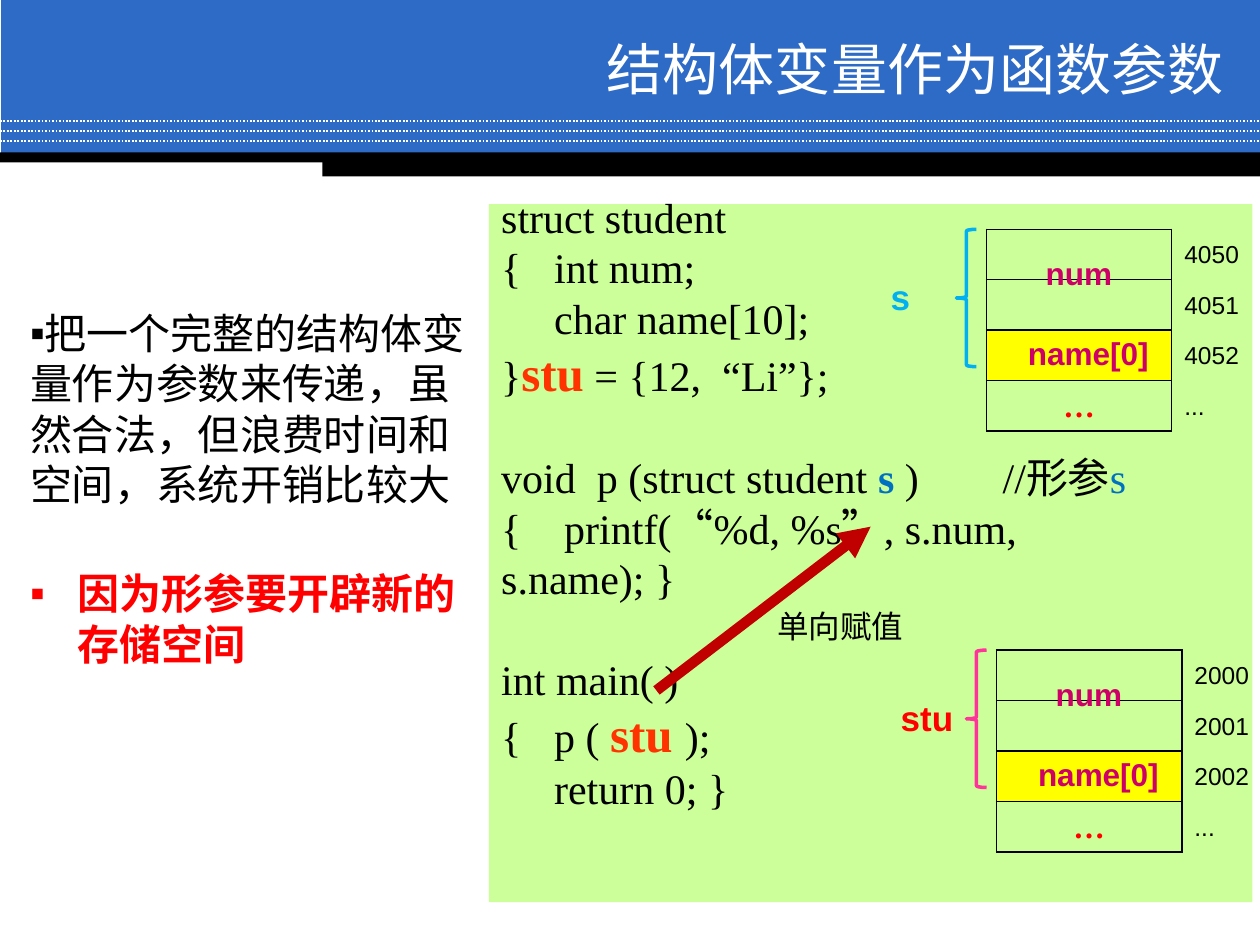
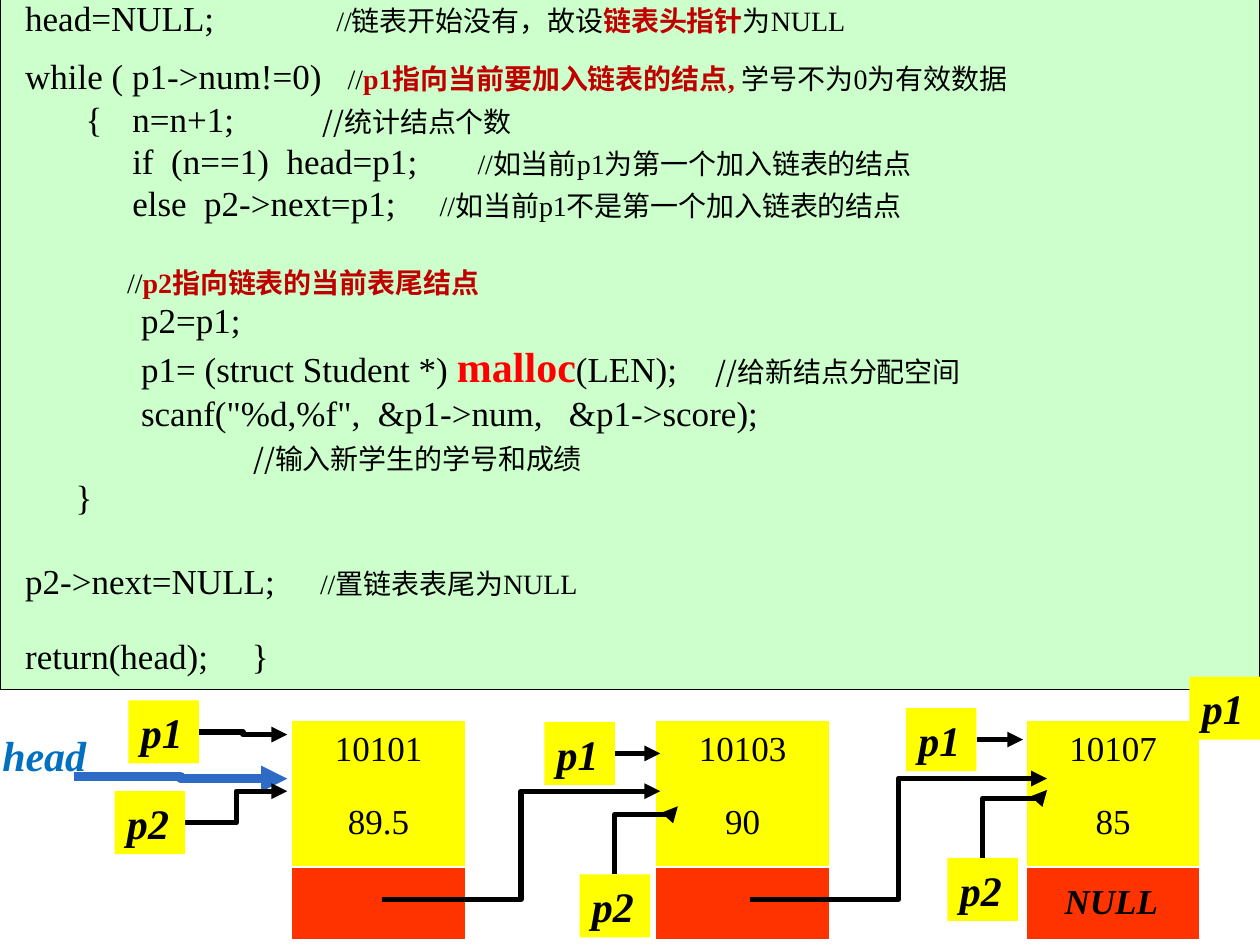
from dataclasses import dataclass, replace
from typing import Optional

import lxml.etree
import pptx
import pptx.dml.color
import pptx.enum.dml
import pptx.enum.shapes
import pptx.enum.text
import pptx.oxml.ns
import pptx.slide
import pptx.util

Inches, Pt = pptx.util.Inches, pptx.util.Pt
RGBColor = pptx.dml.color.RGBColor
Slide = pptx.slide.Slide
SHAPE = pptx.enum.shapes.MSO_SHAPE
LINK = pptx.enum.shapes.MSO_CONNECTOR
ALIGN = pptx.enum.text.PP_ALIGN
ANCHOR = pptx.enum.text.MSO_ANCHOR
qn = pptx.oxml.ns.qn

BLACK = RGBColor(0x00, 0x00, 0x00)
WHITE = RGBColor(0xFF, 0xFF, 0xFF)
BLUE = RGBColor(0x2D, 0x6B, 0xC7)
INK = RGBColor(0x00, 0x70, 0xC0)
SKY = RGBColor(0x00, 0xB0, 0xF0)
RED = RGBColor(0xFF, 0x00, 0x00)
DARK = RGBColor(0xC0, 0x00, 0x00)
FLAME = RGBColor(0xFF, 0x33, 0x00)
PINK = RGBColor(0xFF, 0x33, 0x99)
PLUM = RGBColor(0xCC, 0x00, 0x66)
YELLOW = RGBColor(0xFF, 0xFF, 0x00)
LIME = RGBColor(0xCC, 0xFF, 0x99)
MINT = RGBColor(0xCC, 0xFF, 0xCC)

SERIF, SANS, HAN = "Times New Roman", "Arial", "Noto Sans CJK SC"
PLAIN_GRID = "{2D5ABB26-0587-4C30-8999-92F81FD0307C}"
PITCH = 1.2  # line height per point of text size


@dataclass(frozen=True)
class Face:
    size: float
    color: RGBColor = BLACK
    bold: bool = False
    slant: bool = False
    name: str = SERIF


@dataclass(frozen=True)
class Line:
    runs: list[tuple[str, Face]]
    tabs: tuple[float, ...] = ()
    gap: float = 0  # points above
    align: ALIGN = ALIGN.LEFT
    mark: str = ""
    hang: float = 0


@dataclass(frozen=True)
class Box:
    left: float
    top: float
    wide: float
    high: float

    def place(self) -> list[int]:
        return [Inches(v) for v in (self.left, self.top, self.wide, self.high)]


@dataclass(frozen=True)
class Store:
    """Memory map of one struct variable."""
    left: float
    top: float
    base: int
    label: str
    ink: RGBColor
    brace: RGBColor


@dataclass(frozen=True)
class Node:
    left: float
    num: str
    score: str


def add(parent, tag: str, **attrs: str):
    return lxml.etree.SubElement(parent, qn(tag), attrs)


# ---- text ----
def set_font(font, face: Face) -> None:
    font.size, font.name = Pt(face.size), face.name
    font.bold, font.italic = face.bold, face.slant
    font.color.rgb = face.color
    font._element.find(qn("a:latin")).addnext(
        font._element.makeelement(qn("a:ea"), {"typeface": HAN}))


def write(para, line: Line) -> None:
    faces = [face for _, face in line.runs]
    para.alignment = line.align
    para.line_spacing = Pt(PITCH * max(face.size for face in faces))
    para.space_before = Pt(line.gap)
    props = para._p.get_or_add_pPr()
    if line.mark:
        props.set("marL", str(Inches(line.hang)))
        props.set("indent", str(-Inches(line.hang)))
        add(props, "a:buFont", typeface=SANS)
        add(props, "a:buChar", char=line.mark)
    if line.tabs:
        stops = add(props, "a:tabLst")
        for stop in line.tabs:
            add(stops, "a:tab", pos=str(Inches(stop)), algn="l")
    same = len(set(faces)) == 1
    if same:
        set_font(para.font, faces[0])
    for text, face in line.runs:
        run = para.add_run()
        run.text = text
        if not same:
            set_font(run.font, face)


def fill_text(frame, lines: list[Line], anchor: ANCHOR = ANCHOR.TOP) -> None:
    frame.word_wrap = True
    frame.vertical_anchor = anchor
    for i, line in enumerate(lines):
        write(frame.add_paragraph() if i else frame.paragraphs[0], line)


def add_text(slide: Slide, box: Box, lines: list[Line], anchor: ANCHOR = ANCHOR.TOP):
    shape = slide.shapes.add_textbox(*box.place())
    fill_text(shape.text_frame, lines, anchor)
    return shape


def label(slide: Slide, box: Box, text: str, face: Face, align: ALIGN = ALIGN.LEFT) -> None:
    add_text(slide, box, [Line([(text, face)], align=align)])


# ---- shapes and lines ----
def add_form(slide: Slide, box: Box, fill: Optional[RGBColor], edge: Optional[RGBColor] = None,
             width: float = 0.75, kind: SHAPE = SHAPE.RECTANGLE):
    shape = slide.shapes.add_shape(kind, *box.place())
    shape.shadow.inherit = False
    if fill is None:
        shape.fill.background()
    else:
        shape.fill.solid()
        shape.fill.fore_color.rgb = fill
    if edge is None:
        shape.line.fill.background()
    else:
        shape.line.color.rgb, shape.line.width = edge, Pt(width)
    return shape


def add_line(slide: Slide, start: tuple[float, float], end: tuple[float, float],
             color: RGBColor = BLACK, width: float = 3, kind: LINK = LINK.ELBOW,
             arrow: bool = True):
    line = slide.shapes.add_connector(kind, *[Inches(v) for v in (*start, *end)])
    line.line.color.rgb, line.line.width = color, Pt(width)
    if arrow:
        add(line.get_or_add_ln(), "a:tailEnd", type="triangle")
    add(line.element.spPr, "a:effectLst")
    return line


def add_riser(slide: Slide, start: tuple[float, float], end: tuple[float, float]) -> None:
    """Elbow that leaves upwards: a level elbow turned by 90 degrees."""
    mid_x, mid_y = (start[0] + end[0]) / 2, (start[1] + end[1]) / 2
    half_w, half_h = abs(start[1] - end[1]) / 2, abs(start[0] - end[0]) / 2
    line = add_line(slide, (mid_x + half_w, mid_y + half_h), (mid_x - half_w, mid_y - half_h))
    line.element.spPr.find(qn("a:xfrm")).set("rot", "5400000")
    guides = line.element.spPr.find(qn("a:prstGeom")).find(qn("a:avLst"))
    add(guides, "a:gd", name="adj1", fmla="val 87900")


# ---- tables ----
def add_grid(slide: Slide, left: float, top: float, cols: list[float], rows: list[float]):
    box = Box(left, top, sum(cols), sum(rows))
    frame = slide.shapes.add_table(len(rows), len(cols), *box.place())
    table = frame.table
    next(frame.element.iter(qn("a:tableStyleId"))).text = PLAIN_GRID
    table.first_row = table.horz_banding = False
    for col, wide in zip(table.columns, cols):
        col.width = Inches(wide)
    for row, high in zip(table.rows, rows):
        row.height = Inches(high)
    return table


def set_cell(cell, fill: Optional[RGBColor], text: str = "", face: Face = Face(14),
             align: ALIGN = ALIGN.LEFT, anchor: ANCHOR = ANCHOR.TOP,
             sides: str = "", edge: RGBColor = BLACK) -> None:
    if fill is None:
        cell.fill.background()
    else:
        cell.fill.solid()
        cell.fill.fore_color.rgb = fill
    cell.vertical_anchor = anchor
    write(cell.text_frame.paragraphs[0], Line([(text, face)] if text else [("", face)], align=align))
    props = cell._tc.get_or_add_tcPr()
    for i, side in enumerate(sides):
        rule = props.makeelement(qn(f"a:ln{side}"), {"w": str(Pt(1))})
        add(add(rule, "a:solidFill"), "a:srgbClr", val=str(edge))
        props.insert(i, rule)


# ---- slide 1: struct as an argument ----
def add_head(slide: Slide, title: str) -> None:
    add_form(slide, Box(0.01, 0, 9.99, 1.23), BLUE)
    for i in range(3):
        y = 0.96 + 0.08 * i
        rule = add_line(slide, (0, y), (10, y), WHITE, 1, LINK.STRAIGHT, False)
        rule.line.dash_style = pptx.enum.dml.MSO_LINE.ROUND_DOT
    add_form(slide, Box(0, 1.21, 10, 0.08), BLACK)
    add_form(slide, Box(2.56, 1.24, 7.44, 0.16), BLACK)
    face = Face(32, WHITE, name=HAN)
    add_text(slide, Box(2.54, 0.25, 7.27, 0.58),
             [Line([(title, face)], align=ALIGN.RIGHT)], ANCHOR.MIDDLE)


def add_store(slide: Slide, store: Store) -> None:
    x, y = store.left, store.top
    table = add_grid(slide, x, y, [1.47, 1.89], [0.47] + [0.4] * 4)
    for col in range(2):
        set_cell(table.cell(0, col), None)
    marks = [str(store.base + i) for i in range(3)] + ["..."]
    for row, (mark, fill) in enumerate(zip(marks, [LIME, LIME, YELLOW, None]), 1):
        set_cell(table.cell(row, 0), fill, "…" if mark == "..." else "",
                 Face(18, RED, True) if mark == "..." else Face(14), ALIGN.CENTER, sides="LRTB")
        set_cell(table.cell(row, 1), None, mark, Face(14, name=SANS), anchor=ANCHOR.MIDDLE)
    field = Face(18, PLUM, True, name=SANS)
    label(slide, Box(x + 0.37, y + 0.62, 1.11, 0.4), "num", field)
    label(slide, Box(x - 0.86, y + 0.79, 0.7, 0.44), store.label,
          Face(20, store.ink, True, name=SANS))
    label(slide, Box(x + 0.23, y + 1.25, 1.25, 0.4), "name[0]", field)
    add_form(slide, Box(x - 0.24, y + 0.47, 0.16, 1.09), None, store.brace, 2, SHAPE.LEFT_BRACE)


def build_struct(slide: Slide) -> None:
    add_head(slide, "结构体变量作为函数参数")
    body, big = Face(24), Face(28, FLAME, True)
    notes = add_text(slide, Box(0.14, 1.86, 3.7, 5.59), [
        Line([("把一个完整的结构体变量作为参数来传递，虽然合法，但浪费时间和空间，系统开销比较大", body)],
             mark="▪"),
        Line([("因为形参要开辟新的存储空间", Face(24, RED, True))], gap=33.6, mark="▪", hang=0.38)])
    notes.text_frame.margin_top = Inches(0.58)

    code = add_form(slide, Box(3.88, 1.62, 6.06, 5.54), LIME)
    code.text_frame.margin_bottom = Inches(0.86)
    quote, step = replace(body, name=HAN), (0.42,)
    fill_text(code.text_frame, [
        Line([("struct student", body)]),
        Line([("{\tint num;", body)], step),
        Line([("\tchar name[10];", body)], step),
        Line([("}", body), ("stu", big), (" = {12,  “Li”};", body)]),
        Line([("void  p (struct student ", body), ("s ", Face(24, INK, True)),
              (")\t//形参", body), ("s", Face(24, INK))], (3.98,), 28.8),
        Line([("{\tprintf(", body), ("“", quote), ("%d, %s", body), ("”", quote),
              (", s.num,", body)], (0.5,)),
        Line([("s.name); }", body)]),
        Line([("int main( )", body)], gap=28.8),
        Line([("{\tp ( ", body), ("stu ", big), (");", body)], step),
        Line([("\treturn 0; }", body)], step)], ANCHOR.MIDDLE)

    add_line(slide, (5.21, 5.48), (6.91, 4.18), DARK, 6, LINK.STRAIGHT)
    label(slide, Box(6.07, 4.77, 1.26, 0.4), "单向赋值", Face(18, name=HAN))
    for store in (Store(7.83, 1.35, 4050, "s", SKY, SKY),
                  Store(7.91, 4.69, 2000, "stu", RED, PINK)):
        add_store(slide, store)


# ---- slide 2: building a linked list ----
def add_tag(slide: Slide, left: float, top: float, text: str):
    tag = add_form(slide, Box(left, top, 0.56, 0.5), YELLOW)
    fill_text(tag.text_frame, [Line([(text, Face(24, bold=True, slant=True))])])
    return tag


def add_node(slide: Slide, node: Node) -> None:
    table = add_grid(slide, node.left, 5.72, [1.37], [0.58] * 3)
    rows = [(node.num, YELLOW, "T"), (node.score, YELLOW, ""), ("", FLAME, "TB")]
    for i, (text, fill, sides) in enumerate(rows):
        set_cell(table.cell(i, 0), fill, text, Face(20), ALIGN.CENTER, sides=sides, edge=WHITE)


def build_list(slide: Slide) -> None:
    panel = add_form(slide, Box(0, -0.08, 10, 5.55), MINT, BLACK)
    panel.text_frame.margin_left = Inches(0.2)
    code, note, key, han = Face(20), Face(16), Face(16, DARK, True), Face(16, name=HAN)
    fill_text(panel.text_frame, [
        Line([("head=NULL;\t", code), ("//链表开始没有，故设", note), ("链表头指针", key),
              ("为NULL", note)], (2.47,)),
        Line([("while ( p1->num!=0)\t", code), ("//", note),
              ("p1指向当前要加入链表的结点, ", key), ("学号不为0为有效数据", note)], (2.56,), 9.6),
        Line([("\t{\tn=n+1;\t", code), ("//统计结点个数", han)], (0.48, 0.85, 2.36)),
        Line([("\tif  (n==1)  head=p1;\t", code), ("//如当前p1为第一个加入链表的结点", note)],
             (0.85, 3.59)),
        Line([("\telse  p2->next=p1;\t", code), ("//如当前p1不是第一个加入链表的结点", note)],
             (0.85, 3.29)),
        Line([("\t//", note), ("p2指向链表的当前表尾结点", key)], (0.81,), 24),
        Line([("\tp2=p1;", code)], (0.92,)),
        Line([("\tp1= (struct Student *) ", code), ("malloc", Face(24, RED, True)),
              ("(LEN);\t", code), ("//给新结点分配空间", han)], (0.92, 5.48)),
        Line([("\tscanf(\"%d,%f\",  &p1->num,   &p1->score);", code)], (0.92,)),
        Line([("\t//输入新学生的学号和成绩", han)], (1.81,), 4.8),
        Line([("\t}", code)], (0.4,)),
        Line([("p2->next=NULL;\t", code), ("//置链表表尾为NULL", note)], (2.34,), 24),
        Line([("return(head);\t}", code)], (1.8,), 19.2)])

    # Nodes and the pointers to them
    for node in (Node(2.32, "10101", "89.5"), Node(5.21, "10103", "90"),
                 Node(8.15, "10107", "85")):
        add_node(slide, node)
    label(slide, Box(-0.08, 5.74, 1.14, 0.5), "head", Face(24, INK, True, True))
    label(slide, Box(8.31, 6.93, 1.02, 0.44), "NULL", Face(20, bold=True, slant=True),
          ALIGN.CENTER)
    add_line(slide, (0.59, 6.16), (2.28, 6.18), BLUE, 5)
    for start, end in (((1.58, 5.81), (2.28, 5.83)), ((1.47, 6.53), (2.28, 6.28)),
                       ((3.03, 7.14), (5.24, 6.28)), ((5.95, 7.14), (8.31, 6.18))):
        add_line(slide, start, end)
    for left, top, text in ((1.02, 5.56, "p1"), (0.91, 6.28, "p2"), (9.44, 5.37, "p1")):
        add_tag(slide, left, top, text)
    for left, top, tip in ((4.32, 5.73, 5.24), (7.19, 5.62, 8.12)):
        tag, mid = add_tag(slide, left, top, "p1"), top + 0.25
        line = add_line(slide, (left + 0.56, mid), (tip, mid), kind=LINK.STRAIGHT)
        line.begin_connect(tag, 3)
    for left, top, tip in ((4.6, 6.94, (5.38, 6.4)), (7.52, 6.81, (8.31, 6.27))):
        add_tag(slide, left, top, "p2")
        add_riser(slide, (left + 0.28, top), tip)


def main() -> None:
    deck = pptx.Presentation()
    deck.slide_width, deck.slide_height = Inches(10), Inches(7.5)
    for build in (build_struct, build_list):
        build(deck.slides.add_slide(deck.slide_layouts[6]))
    deck.save("out.pptx")


if __name__ == "__main__":
    main()
